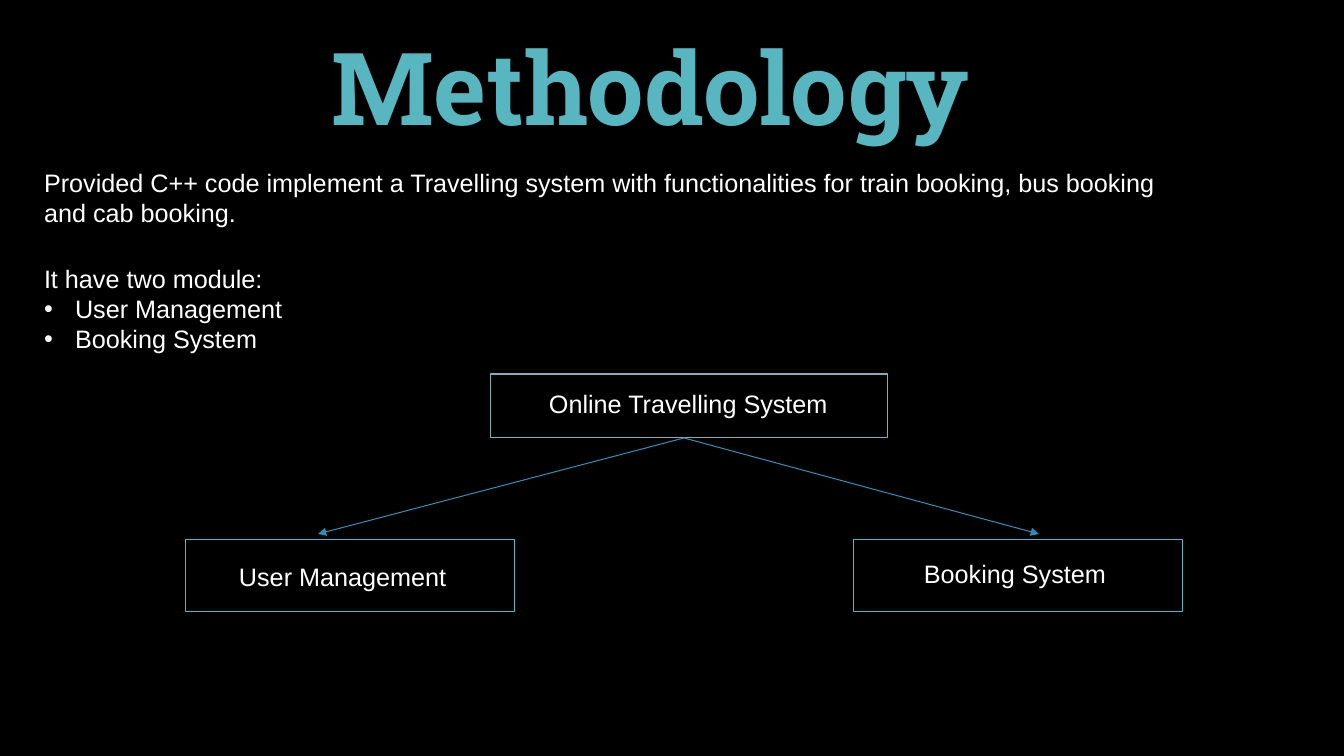
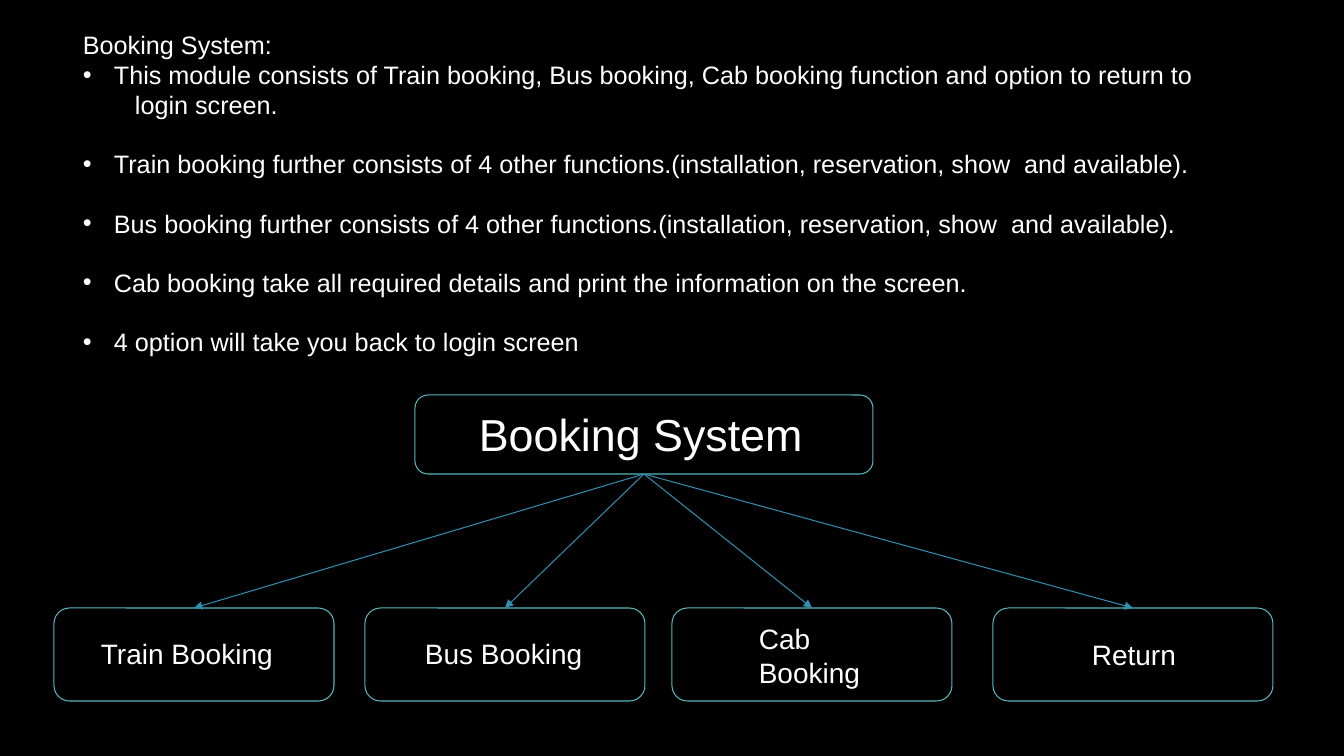
from pptx import Presentation
from pptx.dml.color import RGBColor
from pptx.enum.shapes import MSO_CONNECTOR as CONNECTOR, MSO_SHAPE as SHAPE
from pptx.enum.text import MSO_ANCHOR as ANCHOR, PP_ALIGN as ALIGN
from pptx.oxml.ns import qn
from pptx.util import Pt
from lxml.etree import SubElement

PX = 12192000 / 1344  # EMU in one px of a 1344 x 756 slide
BLACK, WHITE = "000000", "FFFFFF"
TEAL, GREY_TEAL, BLUE = "58B6C0", "84ACB6", "328DB2"
BODY_FONT, TITLE_FONT = "Arial", "Roboto Slab"
BODY_SIZE = 18
INSET_X, INSET_Y = 10, 5
LINE_WIDTH = Pt(0.75)
BULLET_INDENT = 31
ENTRY_GAP = 20.7  # one body line, in points
LABEL_RIGHT = 48
CORNER_INSET = 0.05  # text inset of a rounded box, as a share of its height


def px(length):
    return round(length * PX)


def rgb(code):
    return RGBColor.from_string(code)


def add_page(deck):
    page = deck.slides.add_slide(deck.slide_layouts[6])
    page.background.fill.solid()
    page.background.fill.fore_color.rgb = rgb(BLACK)
    return page


def set_insets(frame, left, top, right, bottom):
    frame.margin_left, frame.margin_top = px(left), px(top)
    frame.margin_right, frame.margin_bottom = px(right), px(bottom)
    frame.vertical_anchor = ANCHOR.TOP
    frame.word_wrap = True


def style(para, size=BODY_SIZE, color=WHITE, font=BODY_FONT, bold=False):
    para.alignment = ALIGN.LEFT
    para.font.name, para.font.size, para.font.bold = font, Pt(size), bold
    para.font.color.rgb = rgb(color)


def indent(para, left, first=0):
    props = para._p.get_or_add_pPr()
    props.set("marL", str(px(left)))
    props.set("indent", str(px(first)))
    return props


def add_bullet(para):
    props = indent(para, BULLET_INDENT, -BULLET_INDENT)
    SubElement(props, qn("a:buFont"), typeface=BODY_FONT)
    SubElement(props, qn("a:buChar"), char="•")


def add_text_box(page, box):
    frame = page.shapes.add_textbox(*map(px, box)).text_frame
    set_insets(frame, INSET_X, INSET_Y, INSET_X, INSET_Y)
    return frame


def add_title(page, box, text):
    para = add_text_box(page, box).paragraphs[0]
    para.text = text
    style(para, 72, TEAL, TITLE_FONT, bold=True)


def add_body(page, box, lead, entries=(), gap=0):
    """A lead line, then bullets; a tuple holds a bullet and its indented second line."""
    frame = add_text_box(page, box)
    frame.paragraphs[0].text = lead
    style(frame.paragraphs[0])
    for number, entry in enumerate(entries):
        first, *rest = (entry,) if isinstance(entry, str) else entry
        para = frame.add_paragraph()
        para.text = first
        add_bullet(para)
        if number and gap:
            para.space_before = Pt(gap)
        style(para)
        for line in rest:
            para = frame.add_paragraph()
            para.text = line
            indent(para, BULLET_INDENT + 21)
            style(para)


def add_node(page, box, text, label_at, size=BODY_SIZE, color=TEAL, rounded=False):
    """An outlined box whose label starts at label_at, from the box's corner."""
    kind = SHAPE.ROUNDED_RECTANGLE if rounded else SHAPE.RECTANGLE
    node = page.shapes.add_shape(kind, *map(px, box))
    node.shadow.inherit = False
    node.fill.background()
    node.line.color.rgb = rgb(color)
    node.line.width = LINE_WIDTH
    corner = CORNER_INSET * box[3] if rounded else 0
    left, top = label_at
    set_insets(node.text_frame, left - corner, top - corner, LABEL_RIGHT - corner, 0)
    para = node.text_frame.paragraphs[0]
    para.text = text
    style(para, size)


def add_arrow(page, start, end):
    arrow = page.shapes.add_connector(CONNECTOR.STRAIGHT, *map(px, start + end))
    arrow.line.color.rgb = rgb(BLUE)
    arrow.line.width = LINE_WIDTH
    SubElement(arrow.line._get_or_add_ln(), qn("a:tailEnd"), type="triangle")
    SubElement(arrow._element.spPr, qn("a:effectLst"))


def add_module_tree(page, box):
    left, top, width, _ = box
    leaf_width, leaf_top = 329, top + 166
    add_node(page, (left + 305, top, 397, 64), "Online Travelling System",
             (58, 14), color=GREY_TEAL)
    add_node(page, (left, leaf_top, leaf_width, 72), "User Management", (53, 21))
    add_node(page, (left + width - leaf_width, leaf_top, leaf_width, 72),
             "Booking System", (70, 18))
    for tip in (132, 853):
        add_arrow(page, (left + 498, top + 64), (left + tip, leaf_top - 6))


def add_booking_tree(page, box):
    left, top, _, height = box
    root_left, root_width, root_height = left + 361, 458, 79
    leaf_width, leaf_height = 280, 93
    leaf_top = top + height - leaf_height
    add_node(page, (root_left, top, root_width, root_height), "Booking System",
             (64, 12), size=32, rounded=True)
    leaves = [
        (0, "Train Booking", (47, 29)),
        (311, "Bus Booking", (60, 29)),
        (618, "Cab Booking", (87, 14)),
        (939, "Return", (99, 30)),
    ]
    for offset, text, label_at in leaves:
        leaf_left = left + offset
        add_node(page, (leaf_left, leaf_top, leaf_width, leaf_height), text,
                 label_at, size=20, rounded=True)
        add_arrow(page, (root_left + root_width // 2, top + root_height),
                  (leaf_left + leaf_width // 2, leaf_top))


def build_methodology(deck):
    page = add_page(deck)
    add_body(page, (34, 162, 1167, 72),
             "Provided C++ code implement a Travelling system with functionalities "
             "for train booking, bus booking and cab booking.")
    add_body(page, (34, 258, 597, 102), "It have two module:",
             ["User Management", "Booking System"])
    add_module_tree(page, (186, 374, 997, 238))
    add_title(page, (321, 20, 947, 132), "Methodology")


def build_booking_system(deck):
    page = add_page(deck)
    functions = ("booking further consists of 4 other functions."
                 "(installation, reservation, show  and available).")
    add_body(page, (73, 24, 1143, 377), "Booking System:", [
        ("This module consists of Train booking, Bus booking, Cab booking function "
         "and option to return to", "login screen."),
        f"Train {functions}",
        f"Bus {functions}",
        "Cab booking take all required details and print the information on the screen.",
        "4 option will take you back to login screen",
    ], gap=ENTRY_GAP)
    add_booking_tree(page, (54, 395, 1219, 306))


def main():
    deck = Presentation()
    deck.slide_width, deck.slide_height = px(1344), px(756)
    build_methodology(deck)
    build_booking_system(deck)
    deck.save("out.pptx")


if __name__ == "__main__":
    main()
